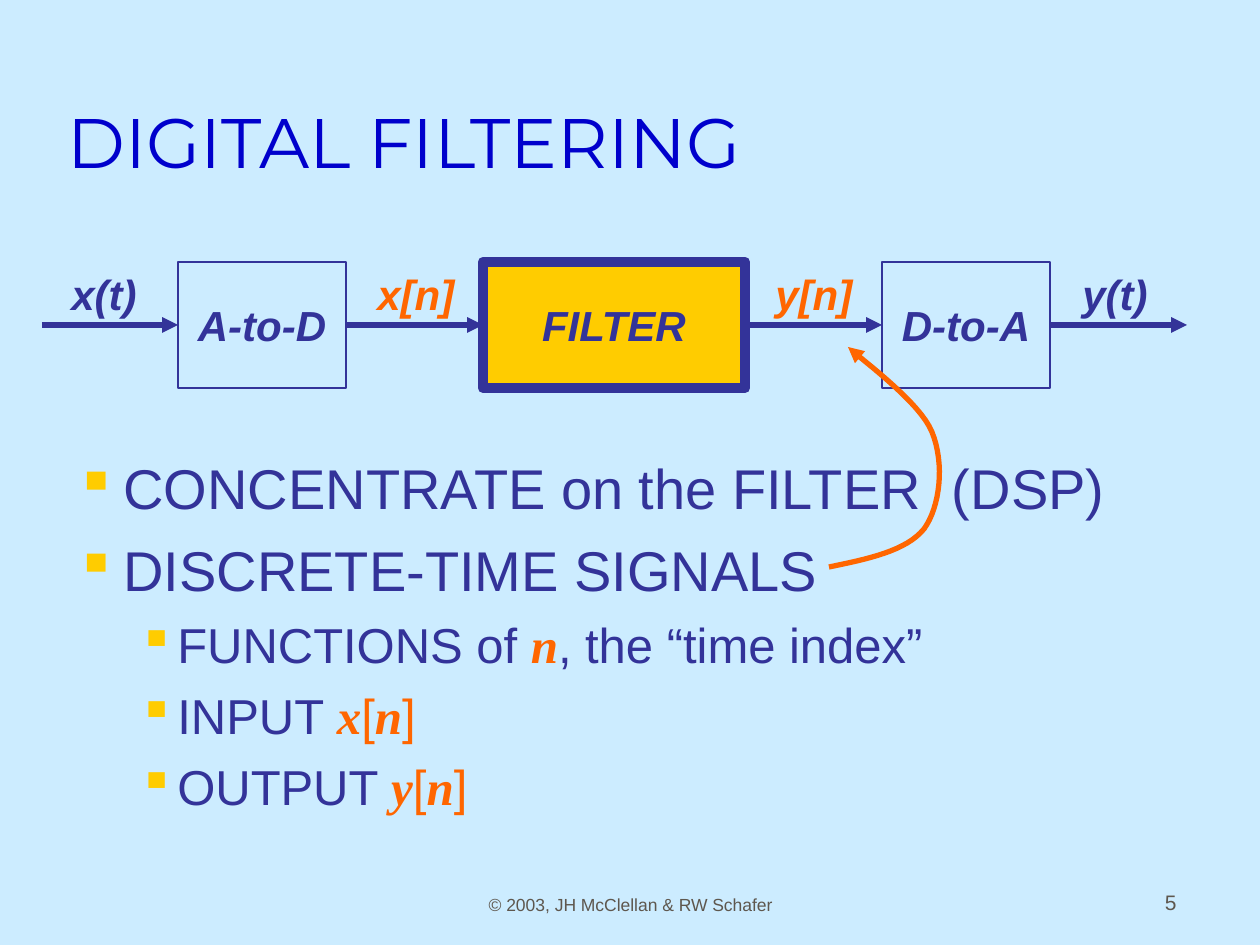
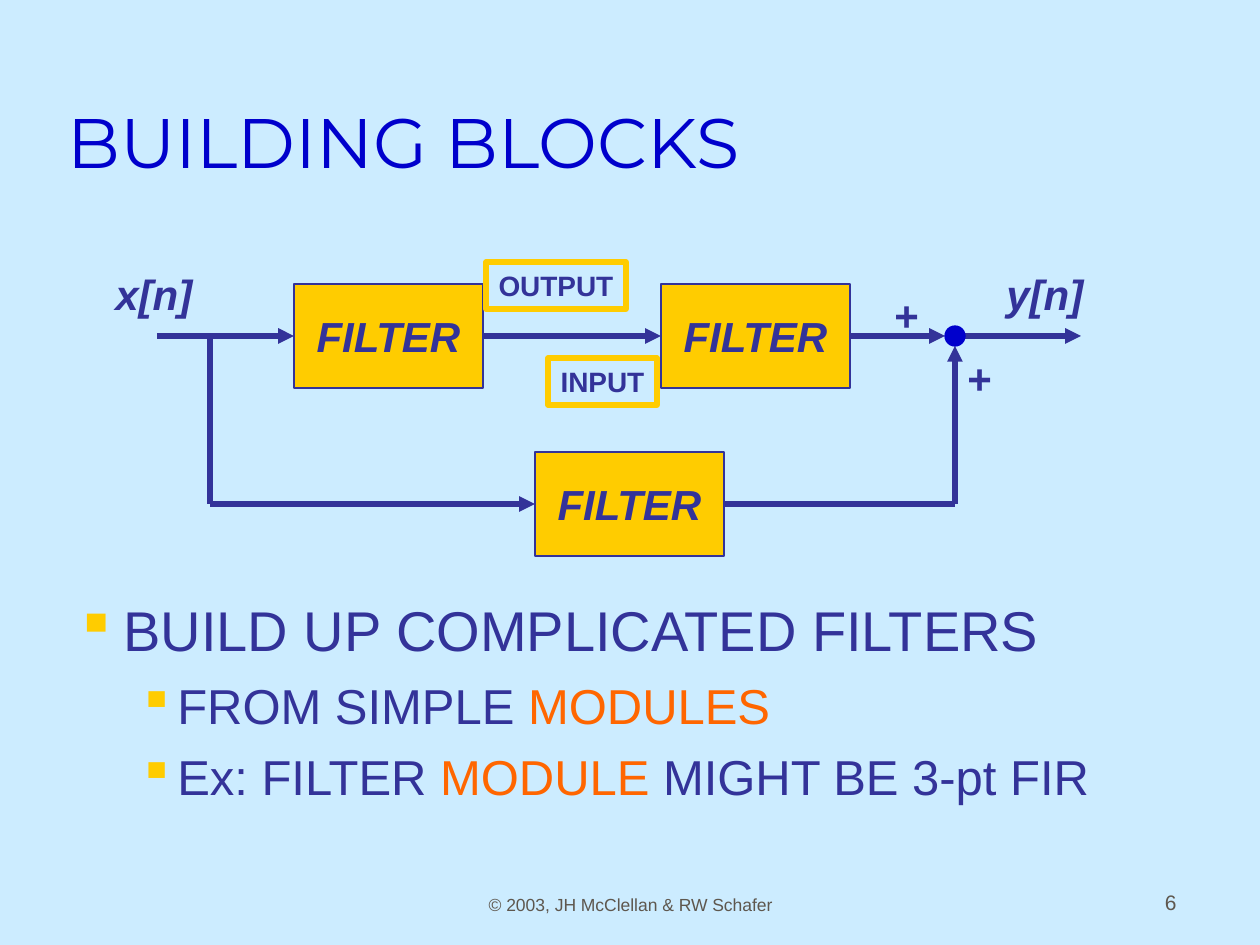
from dataclasses import dataclass

import lxml.etree
import pptx
import pptx.dml.color
import pptx.enum.shapes
import pptx.enum.text
import pptx.oxml.ns
import pptx.presentation
import pptx.shapes.autoshape
import pptx.shapes.base
import pptx.slide
import pptx.text.text
import pptx.util

# Shared look
SKY, INK, GOLD = "CCECFF", "333399", "FFCC00"
ORANGE, BLUE, GREY = "FF6600", "0000CC", "5E574E"
SANS, SERIF, DISPLAY = "Arial", "Times New Roman", "Montserrat"
PX_PER_INCH = 126
SLIDE_W, SLIDE_H = 1260, 945
CREDIT = "© 2003, JH McClellan & RW Schafer"

ALIGN = pptx.enum.text.PP_ALIGN
ANCHOR = pptx.enum.text.MSO_ANCHOR
SHAPE = pptx.enum.shapes.MSO_SHAPE
TOP, LEFT, BOTTOM, RIGHT = range(4)

Point = tuple[int, int]
Box = tuple[int, int, int, int]


@dataclass(frozen=True)
class Run:
    text: str
    color: str = INK
    font: str = SANS
    bold: bool = False
    italic: bool = False


@dataclass(frozen=True)
class Bullet:
    level: int
    runs: list[Run]


@dataclass(frozen=True)
class Level:
    size: int
    margin: int
    hang: int
    before: int


@dataclass(frozen=True)
class Block:
    text: str
    box: Box
    fill: str = GOLD
    line: str = INK
    weight: float = 0.75
    size: int = 24
    italic: bool = True


@dataclass(frozen=True)
class Label:
    text: str
    box: Box
    color: str = INK
    italic: bool = True


@dataclass(frozen=True)
class Side:
    shape: pptx.shapes.autoshape.Shape
    site: int


@dataclass(frozen=True)
class Wire:
    start: Point | Side
    end: Point | Side
    arrow: bool = True


LEVELS = [Level(32, 48, 48, 8), Level(28, 102, 39, 7)]


# Helpers
def px(n: float) -> int:
    return round(n * 914400 / PX_PER_INCH)


def rgb(value: str) -> pptx.dml.color.RGBColor:
    return pptx.dml.color.RGBColor.from_string(value)


def add_run(p: pptx.text.text._Paragraph, run: Run, size: int) -> None:
    r = p.add_run()
    r.text = run.text
    r.font.size = pptx.util.Pt(size)
    r.font.name = run.font
    r.font.bold, r.font.italic = run.bold, run.italic
    r.font.color.rgb = rgb(run.color)


def add_text(s: pptx.slide.Slide, box: Box, run: Run, size: int,
             align: int = ALIGN.LEFT, anchor: int = ANCHOR.TOP, wrap: bool = True) -> None:
    tf = s.shapes.add_textbox(*map(px, box)).text_frame
    tf.word_wrap = wrap
    tf.vertical_anchor = anchor
    p = tf.paragraphs[0]
    p.alignment = align
    add_run(p, run, size)


def add_label(s: pptx.slide.Slide, label: Label) -> None:
    run = Run(label.text, label.color, bold=True, italic=label.italic)
    add_text(s, label.box, run, 24, wrap=False)


def set_line(shape: pptx.shapes.base.BaseShape, color: str, weight: float, arrow: bool = False) -> None:
    shape.line.color.rgb = rgb(color)
    shape.line.width = pptx.util.Pt(weight)
    if arrow:
        ln = shape._element.spPr.find(pptx.oxml.ns.qn("a:ln"))
        lxml.etree.SubElement(ln, pptx.oxml.ns.qn("a:tailEnd"), type="triangle")


def add_block(s: pptx.slide.Slide, block: Block) -> pptx.shapes.autoshape.Shape:
    sp = s.shapes.add_shape(SHAPE.RECTANGLE, *map(px, block.box))
    sp.shadow.inherit = False
    sp.fill.solid()
    sp.fill.fore_color.rgb = rgb(block.fill)
    set_line(sp, block.line, block.weight)
    tf = sp.text_frame
    tf.word_wrap = False
    tf.vertical_anchor = ANCHOR.MIDDLE
    p = tf.paragraphs[0]
    p.alignment = ALIGN.CENTER
    add_run(p, Run(block.text, bold=True, italic=block.italic), block.size)
    return sp


def add_wire(s: pptx.slide.Slide, wire: Wire) -> None:
    start, end = (map(px, e) if isinstance(e, tuple) else (0, 0) for e in (wire.start, wire.end))
    c = s.shapes.add_connector(pptx.enum.shapes.MSO_CONNECTOR.STRAIGHT, *start, *end)
    if isinstance(wire.start, Side):
        c.begin_connect(wire.start.shape, wire.start.site)
    if isinstance(wire.end, Side):
        c.end_connect(wire.end.shape, wire.end.site)
    set_line(c, INK, 3, wire.arrow)
    lxml.etree.SubElement(c._element.spPr, pptx.oxml.ns.qn("a:effectLst"))


def add_curve(s: pptx.slide.Slide, knots: list[Point], steps: int = 16) -> None:
    """Draw joined cubic curves: a start, then two controls and an end for each."""
    points = []
    for i in range(0, len(knots) - 1, 3):
        for step in range(1, steps + 1):
            t = step / steps
            weights = ((1 - t) ** 3, 3 * t * (1 - t) ** 2, 3 * t * t * (1 - t), t ** 3)
            points.append(tuple(px(sum(w * k[axis] for w, k in zip(weights, knots[i:i + 4])))
                                for axis in (0, 1)))
    builder = s.shapes.build_freeform(px(knots[0][0]), px(knots[0][1]))
    builder.add_line_segments(points, close=False)
    sp = builder.convert_to_shape()
    sp.shadow.inherit = False
    sp.fill.background()
    set_line(sp, ORANGE, 3, arrow=True)


def add_bullets(s: pptx.slide.Slide, top: int, bullets: list[Bullet]) -> None:
    tf = s.shapes.add_textbox(px(63), px(top), px(1126), px(834 - top)).text_frame
    tf.word_wrap = True
    tf.margin_top = 0
    for i, bullet in enumerate(bullets):
        level = LEVELS[bullet.level]
        p = tf.add_paragraph() if i else tf.paragraphs[0]
        p.level = bullet.level
        p.space_before = pptx.util.Pt(level.before if i else 0)
        pPr = p._p.get_or_add_pPr()
        pPr.set("marL", str(px(level.margin)))
        pPr.set("indent", str(-px(level.hang)))
        color = lxml.etree.SubElement(pPr, pptx.oxml.ns.qn("a:buClr"))
        lxml.etree.SubElement(color, pptx.oxml.ns.qn("a:srgbClr"), val=GOLD)
        lxml.etree.SubElement(pPr, pptx.oxml.ns.qn("a:buChar"), char="▪")
        for run in bullet.runs:
            add_run(p, run, level.size)


def variable(name: str) -> Run:
    return Run(name, ORANGE, SERIF, bold=True, italic=True)


def signal(name: str) -> list[Run]:
    return [variable(name), Run("[", ORANGE), variable("n"), Run("]", ORANGE)]


def new_slide(prs: pptx.presentation.Presentation, title: str, number: int) -> pptx.slide.Slide:
    s = prs.slides.add_slide(prs.slide_layouts[6])
    s.background.fill.solid()
    s.background.fill.fore_color.rgb = rgb(SKY)
    add_text(s, (431, 858, 399, 63), Run(CREDIT, GREY), 10, ALIGN.CENTER, ANCHOR.BOTTOM)
    add_text(s, (927, 858, 262, 63), Run(str(number), GREY), 12, ALIGN.RIGHT, ANCHOR.BOTTOM)
    add_text(s, (55, 32, 1071, 157), Run(title, BLUE, DISPLAY), 40, anchor=ANCHOR.BOTTOM)
    return s


# Slide: digital filtering
def digital_filtering(prs: pptx.presentation.Presentation) -> None:
    s = new_slide(prs, "DIGITAL FILTERING", 5)
    add_bullets(s, 454, [
        Bullet(0, [Run("CONCENTRATE on the FILTER  (DSP)")]),
        Bullet(0, [Run("DISCRETE-TIME SIGNALS")]),
        Bullet(1, [Run("FUNCTIONS of "), variable("n"), Run(", the “time index”")]),
        Bullet(1, [Run("INPUT "), *signal("x")]),
        Bullet(1, [Run("OUTPUT "), *signal("y")]),
    ])
    top, height = 262, 126
    axis = top + height // 2
    a_to_d = add_block(s, Block("A-to-D", (178, top, 168, height), SKY))
    filter_block = add_block(s, Block("FILTER", (483, top, 262, height), weight=6))
    d_to_a = add_block(s, Block("D-to-A", (882, top, 168, height), SKY))
    chain = [a_to_d, filter_block, d_to_a]
    starts = [(42, axis), *(Side(block, RIGHT) for block in chain)]
    ends = [*(Side(block, LEFT) for block in chain), (1187, axis)]
    for start, end in zip(starts, ends):
        add_wire(s, Wire(start, end))
    for label in (Label("x(t)", (59, top, 91, 63)),
                  Label("x[n]", (365, top, 102, 63), ORANGE),
                  Label("y[n]", (763, top, 102, 63), ORANGE),
                  Label("y(t)", (1070, top, 91, 63))):
        add_label(s, label)
    add_curve(s, [(829, 567), (868, 559), (906, 551), (924, 529), (940, 507),
                  (945, 464), (932, 432), (920, 402), (862, 360), (848, 347)])


# Slide: building blocks
def building_blocks(prs: pptx.presentation.Presentation) -> None:
    s = new_slide(prs, "BUILDING BLOCKS", 6)
    add_bullets(s, 596, [
        Bullet(0, [Run("BUILD UP COMPLICATED FILTERS")]),
        Bullet(1, [Run("FROM SIMPLE "), Run("MODULES", ORANGE)]),
        Bullet(1, [Run("Ex: FILTER "), Run("MODULE", ORANGE), Run(" MIGHT BE 3-pt FIR")]),
    ])
    upper, lower = 336, 504
    tap_x, sum_x, radius = 210, 955, 10
    first, second, parallel = (
        add_block(s, Block("FILTER", (x, axis - 52, 189, 104)))
        for x, axis in ((294, upper), (661, upper), (535, lower)))

    # Signal flow
    for wire in (Wire((157, upper), Side(first, LEFT)),
                 Wire(Side(first, RIGHT), Side(second, LEFT)),
                 Wire(Side(second, RIGHT), (sum_x - radius, upper)),
                 Wire((sum_x, upper), (1081, upper)),
                 Wire((tap_x, upper), (tap_x, lower), arrow=False),
                 Wire((tap_x, lower), Side(parallel, LEFT)),
                 Wire(Side(parallel, RIGHT), (sum_x, lower), arrow=False),
                 Wire((sum_x, lower), (sum_x, upper + radius))):
        add_wire(s, wire)
    dot = s.shapes.add_shape(SHAPE.OVAL, px(sum_x - radius), px(upper - radius),
                             px(2 * radius), px(2 * radius))
    dot.shadow.inherit = False
    dot.fill.solid()
    dot.fill.fore_color.rgb = rgb(BLUE)
    set_line(dot, BLUE, 0.75)

    # Labels and tags
    for label in (Label("x[n]", (103, 262, 102, 63)),
                  Label("y[n]", (994, 262, 102, 63)),
                  Label("+", (955, 346, 49, 63), italic=False),
                  Label("+", (882, 283, 49, 63), italic=False)):
        add_label(s, label)
    for text, box in (("INPUT", (548, 358, 109, 47)), ("OUTPUT", (486, 262, 140, 47))):
        add_block(s, Block(text, box, SKY, GOLD, 3, 16, italic=False))


def main() -> None:
    prs = pptx.Presentation()
    prs.slide_width, prs.slide_height = px(SLIDE_W), px(SLIDE_H)
    digital_filtering(prs)
    building_blocks(prs)
    prs.save("out.pptx")


if __name__ == "__main__":
    main()
